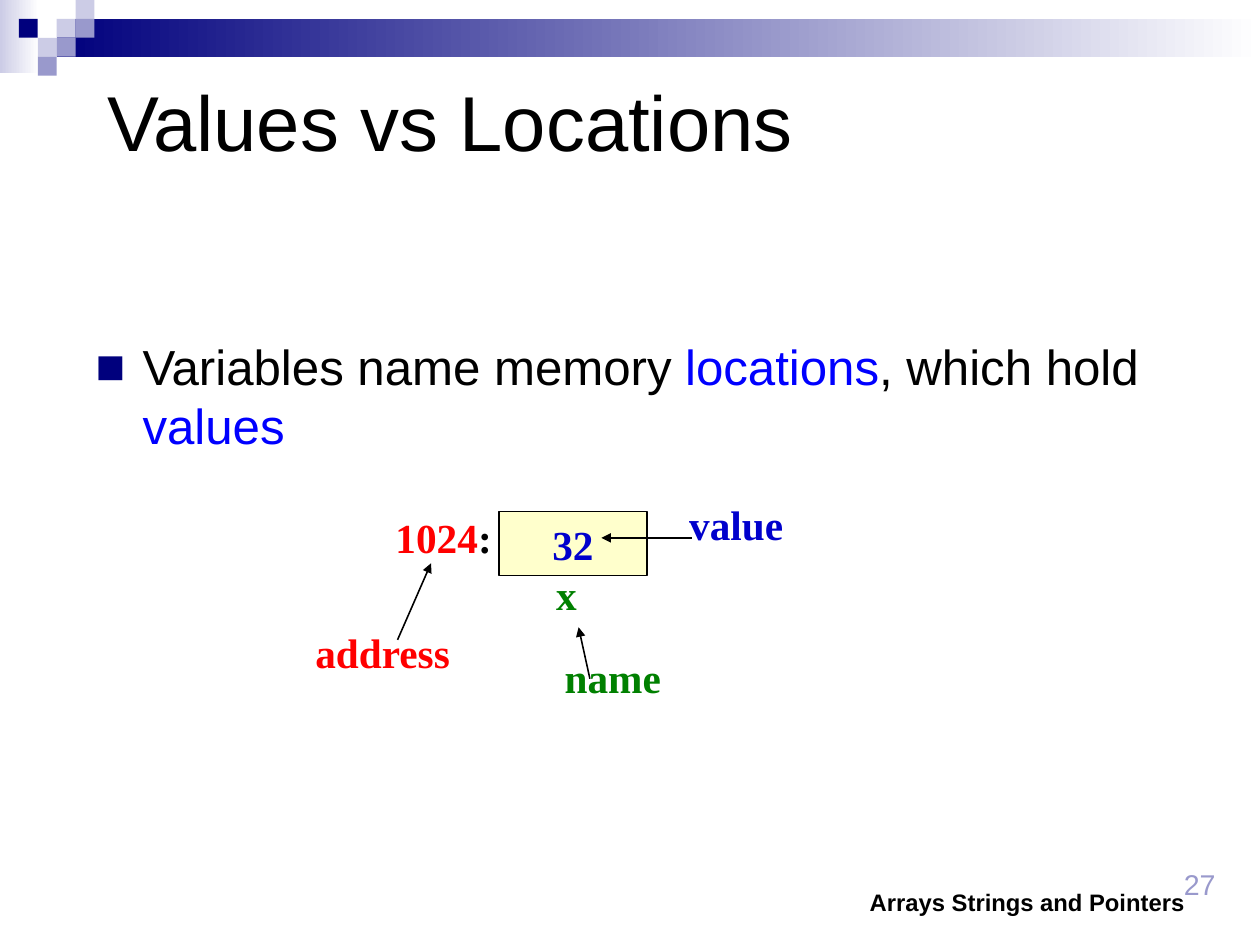
"""Build the Values vs Locations slide."""
from pptx import Presentation
from pptx.dml.color import RGBColor
from pptx.enum.shapes import MSO_CONNECTOR as Connector, MSO_SHAPE as Shape
from pptx.enum.text import MSO_ANCHOR as Anchor, PP_ALIGN as Align
from pptx.oxml.ns import qn
from pptx.util import Cm, Inches, Pt
from lxml.etree import SubElement

WIDTH, HEIGHT, CELL = 28, 21, 0.42
COLORS = {
    "black": "000000", "white": "FFFFFF", "navy": "00007D", "pale": "CCCCE6",
    "lilac": "9999CC", "link": "0000FF", "cream": "FFFFCC", "value": "0000CC",
    "name": "008000", "address": "FF0000",
}

BANDS = [
    ((0, 0, 2.06, 3.88), "pale"),
    ((3, 1, WIDTH / CELL - 3, 2), "navy"),
]
SQUARES = [
    (3, 1, "pale"), (4, 0, "pale"), (4, 1, "lilac"), (2, 2, "pale"),
    (1, 1, "navy"), (3, 2, "lilac"), (2, 3, "lilac"),
]

FORMATS = {
    "title": {"name": "Arial", "size": Pt(49), "bold": False},
    "body": {"name": "Arial", "size": Pt(31), "bold": False},
    "number": {"name": "Arial", "size": Pt(18), "bold": False},
    "footer": {"name": "Arial", "size": Pt(15), "bold": True},
    "label": {"name": "Times New Roman", "size": Pt(26), "bold": True},
}
MARGINS = {"label": (0.1, 0.05)}
PAGE_MARGINS = (0.11, 0.06)

# Places are percentages of the slide's width and height.
PAGE_TEXTS = [
    ("number", (91.66, 91, 5.81, 6.65), [("27", "lilac")], Align.RIGHT, Anchor.TOP),
    ("title", (7.5, 4.42, 85.03, 16.69), [("Values vs Locations", "black")],
     Align.LEFT, Anchor.MIDDLE),
    ("footer", (66.34, 91.05, 28.68, 6.65), [("Arrays Strings and Pointers", "black")],
     Align.RIGHT, Anchor.BOTTOM),
]
BODY_PLACE = (6.6, 34.88, 85.48, 11.12)
BODY = [("Variables name memory ", "black"), ("locations", "link"),
        (", which hold ", "black"), ("values", "link")]
BULLET, BULLET_INDENT = "■", 0.41

MEMORY_PLACE = (39.62, 54.15, 11.71, 6.77)
MEMORY = [("32", "value")]
LABEL_HEIGHT = 6.65
LABELS = [
    ((43.25, 59.61, 5), [("x", "name")]),
    ((30.49, 53.57, 9.8), [("1024", "address"), (":", "black")]),
    ((24.14, 65.75, 12.98), [("address", "address")]),
    ((43.92, 68.44, 9.8), [("name", "name")]),
    ((53.81, 52.2, 9.62), [("value", "value")]),
]
ARROWS = [
    (31.55, 67.71, 34.21, 59.61),
    (46.82, 71.83, 45.92, 66.38),
    (54.9, 56.92, 47.73, 56.92),
]


def color(key):
    return RGBColor.from_string(COLORS[key])


def share(place):
    sizes = (WIDTH, HEIGHT, WIDTH, HEIGHT)
    return [Cm(part * size / 100) for part, size in zip(place, sizes)]


def cells(place):
    return [Cm(count * CELL) for count in place]


def add_rectangle(slide, place, fill=None):
    shape = slide.shapes.add_shape(Shape.RECTANGLE, *place)
    shape.shadow.inherit = False
    shape.line.fill.background()
    if fill:
        shape.fill.solid()
        shape.fill.fore_color.rgb = color(fill)
    return shape


def add_band(slide, place, start):
    fill = add_rectangle(slide, cells(place)).fill
    fill.gradient()
    fill.gradient_angle = 0
    for stop, key, position in zip(fill.gradient_stops, (start, "white"), (0, 1)):
        stop.color.rgb = color(key)
        stop.position = position


def write(shape, style, runs, align=Align.LEFT, anchor=Anchor.TOP):
    side, edge = map(Inches, MARGINS.get(style, PAGE_MARGINS))
    frame = shape.text_frame
    settings = {"word_wrap": True, "vertical_anchor": anchor, "margin_left": side,
                "margin_right": side, "margin_top": edge, "margin_bottom": edge}
    for key, setting in settings.items():
        setattr(frame, key, setting)
    paragraph = frame.paragraphs[0]
    paragraph.alignment = align
    for text, key in runs:
        run = paragraph.add_run()
        run.text = text
        for attribute, setting in FORMATS[style].items():
            setattr(run.font, attribute, setting)
        run.font.color.rgb = color(key)
    return paragraph


def add_text(slide, place, *content):
    return write(slide.shapes.add_textbox(*share(place)), *content)


def add_bullet(paragraph):
    properties = paragraph._p.get_or_add_pPr()
    indent = Inches(BULLET_INDENT)
    properties.set("marL", str(indent))
    properties.set("indent", str(-indent))
    bullet_color = SubElement(properties, qn("a:buClr"))
    SubElement(bullet_color, qn("a:srgbClr"), val=COLORS["navy"])
    SubElement(properties, qn("a:buFont"), typeface="Arial")
    SubElement(properties, qn("a:buChar"), char=BULLET)


def outline(line):
    line.color.rgb = color("black")
    line.width = Pt(1)


def add_arrow(slide, ends):
    arrow = slide.shapes.add_connector(Connector.STRAIGHT, *share(ends))
    outline(arrow.line)
    SubElement(arrow.line._get_or_add_ln(), qn("a:tailEnd"), type="triangle")
    SubElement(arrow._element.spPr, qn("a:effectLst"))


def main():
    presentation = Presentation()
    presentation.slide_width, presentation.slide_height = Cm(WIDTH), Cm(HEIGHT)
    slide = presentation.slides.add_slide(presentation.slide_layouts[6])

    for place, start in BANDS:
        add_band(slide, place, start)
    for column, row, fill in SQUARES:
        add_rectangle(slide, cells((column, row, 1, 1)), fill)

    for style, place, runs, align, anchor in PAGE_TEXTS:
        add_text(slide, place, style, runs, align, anchor)
    add_bullet(add_text(slide, BODY_PLACE, "body", BODY))

    memory = add_rectangle(slide, share(MEMORY_PLACE), "cream")
    outline(memory.line)
    write(memory, "label", MEMORY, Align.CENTER, Anchor.MIDDLE)
    for place, runs in LABELS:
        add_text(slide, (*place, LABEL_HEIGHT), "label", runs)
    for ends in ARROWS:
        add_arrow(slide, ends)

    presentation.save("out.pptx")


if __name__ == "__main__":
    main()
